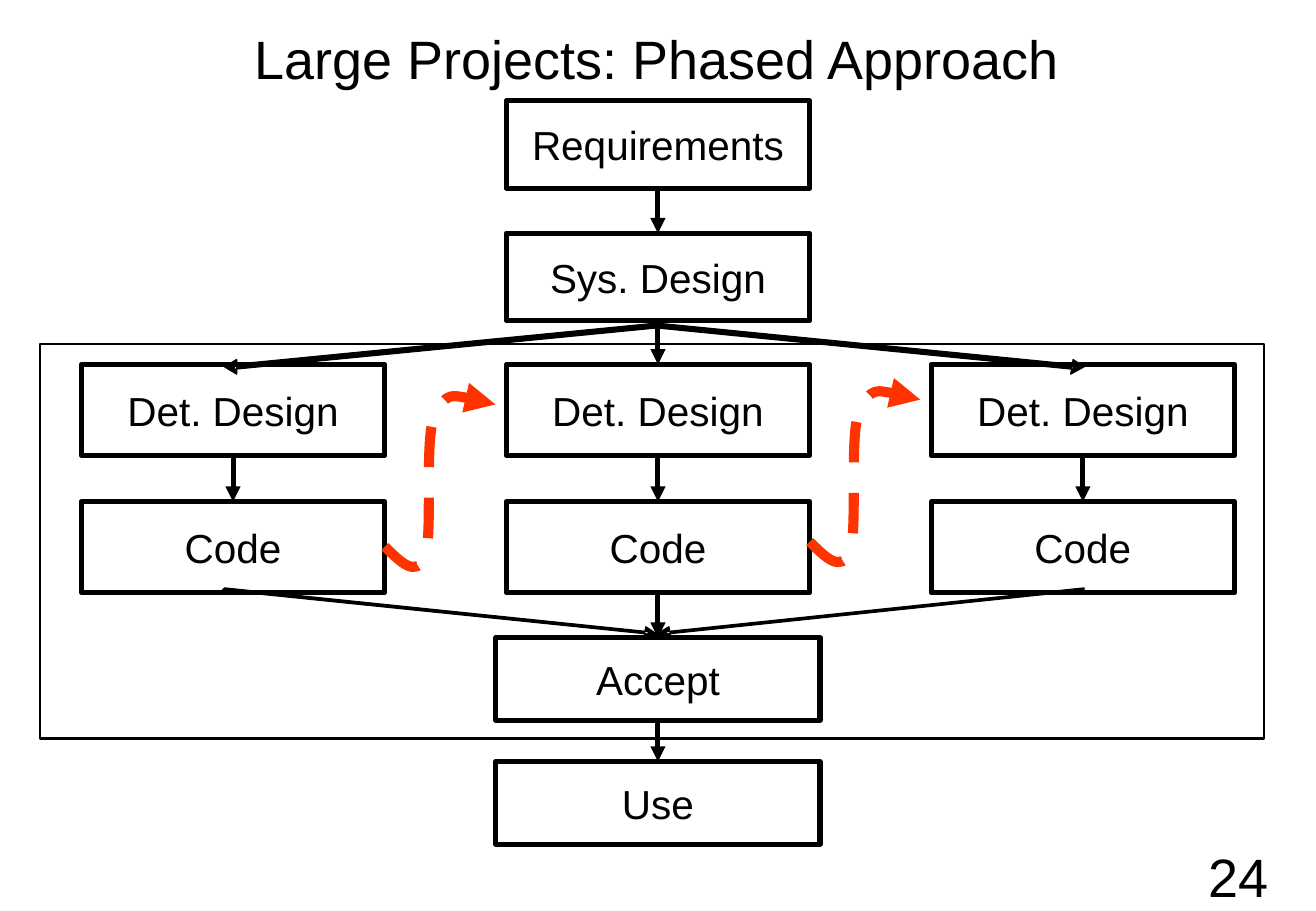
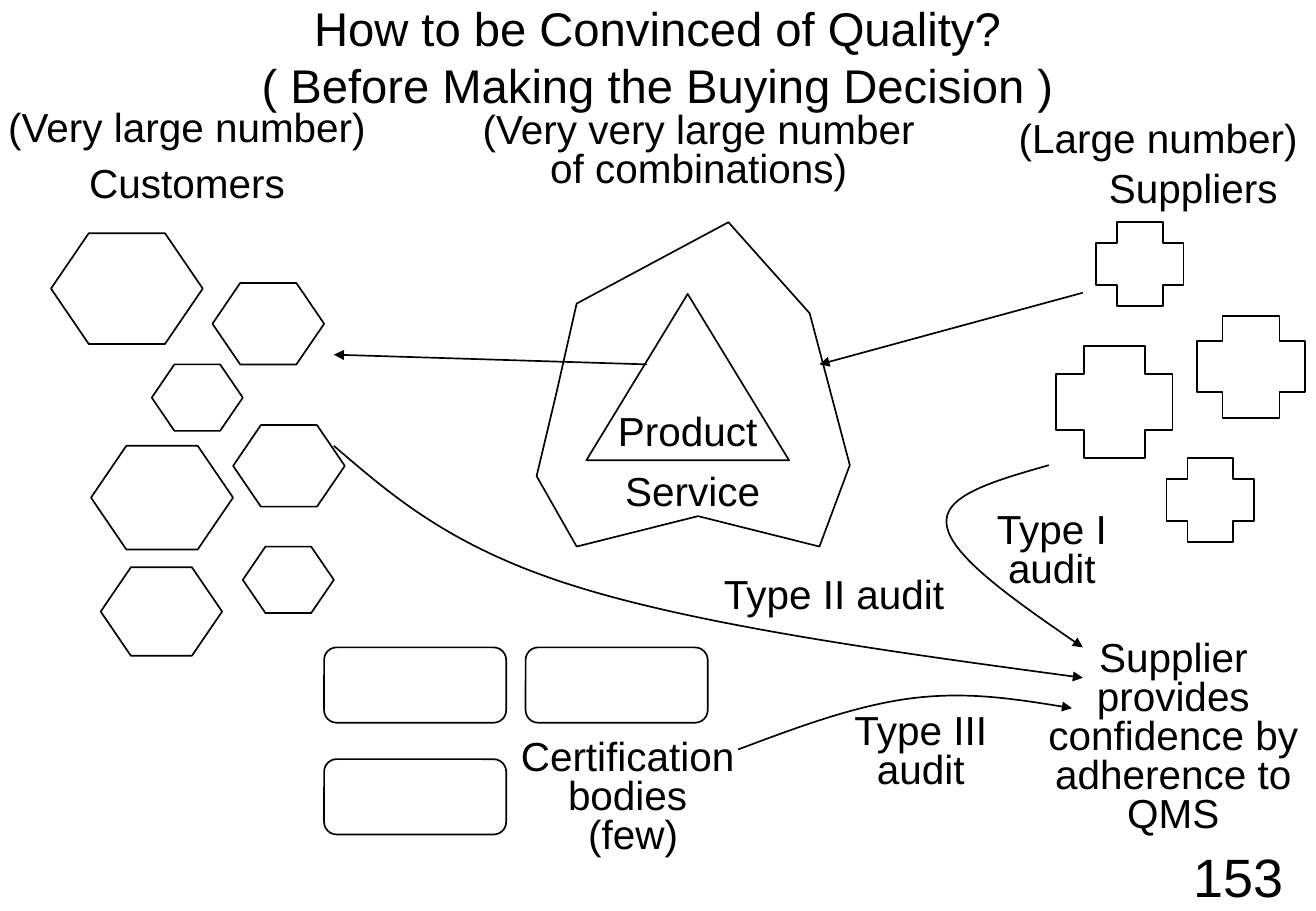
"""Build two slides: a phased project flow and a map of quality audits."""
from lxml import etree
from pptx import Presentation
from pptx.dml.color import RGBColor
from pptx.enum.dml import MSO_LINE
from pptx.enum.shapes import MSO_CONNECTOR, MSO_SHAPE
from pptx.enum.text import MSO_ANCHOR, MSO_AUTO_SIZE, PP_ALIGN
from pptx.oxml.ns import qn
from pptx.util import Inches, Pt

COLORS = {"ink": "000000", "loop": "FF3300"}
FONT = "Arial"
CENTER, MIDDLE, NO_FIT = PP_ALIGN.CENTER, MSO_ANCHOR.MIDDLE, MSO_AUTO_SIZE.NONE
RECT, ROUND = MSO_SHAPE.RECTANGLE, MSO_SHAPE.ROUNDED_RECTANGLE
HEXAGON, PLUS, TRIANGLE = MSO_SHAPE.HEXAGON, MSO_SHAPE.CROSS, MSO_SHAPE.ISOSCELES_TRIANGLE
STRAIGHT, DASH = MSO_CONNECTOR.STRAIGHT, MSO_LINE.DASH


def write(tf, text, size=24, spacing=1.0, wrap=False, margin=0.1):
    """Fill a text frame with centred text, one paragraph per line."""
    tf.auto_size, tf.word_wrap, tf.vertical_anchor = NO_FIT, wrap, MIDDLE
    tf.margin_left = tf.margin_right = Inches(margin)
    tf.margin_top = tf.margin_bottom = Inches(0.05)
    for i, line in enumerate(text.split("\n")):
        p = tf.add_paragraph() if i else tf.paragraphs[0]
        p.text, p.alignment, p.line_spacing = line, CENTER, spacing
        for r in p.runs:
            r.font.name, r.font.size = FONT, Pt(size)
            r.font.color.rgb = RGBColor.from_string(COLORS["ink"])


def outline(sp, width=1, color="ink", arrow=False, dash=None):
    """Draw the line of a shape or connector and drop its shadow."""
    sp.line.color.rgb = RGBColor.from_string(COLORS[color])
    sp.line.width = Pt(width)
    if dash:
        sp.line.dash_style = dash
    if arrow:
        etree.SubElement(sp.line._get_or_add_ln(), qn("a:tailEnd"), type="triangle")
    if hasattr(sp, "fill"):
        sp.fill.background()
        sp.shadow.inherit = False
    else:
        etree.SubElement(sp._element.spPr, qn("a:effectLst"))


prs = Presentation()
prs.slide_width, prs.slide_height = Inches(10.84), Inches(7.5)
slides = []
for title, size, height, number in [
    ("Large Projects: Phased Approach", 32, 0.96, "24"),
    ("How to be Convinced of Quality?\v( Before Making the Buying Decision )", 28, 0.92, "153"),
]:
    s = prs.slides.add_slide(prs.slide_layouts[5])
    sp = s.shapes.title
    sp.left, sp.top, sp.width, sp.height = 0, 0, Inches(10.83), Inches(height)
    write(sp.text_frame, title, size=size, wrap=True)
    sp = s.shapes.add_textbox(Inches(9.58), Inches(6.92), Inches(1.25), Inches(0.58))
    write(sp.text_frame, number, size=32)
    slides.append(s)
phases, audits = slides

MID = 5.42
boxes = [
    ("Requirements", MID, 0.83, 2.5, 0.72),
    ("Sys. Design", MID, 1.92, 2.5, 0.72),
    ("Accept", MID, 5.25, 2.67, 0.68),
    ("Use", MID, 6.27, 2.67, 0.68),
]
arrows = [(phases, MID, top, MID, bottom, 3)
          for top, bottom in [(1.56, 1.92), (2.64, 3), (4.88, 5.25), (5.93, 6.27)]]
for x in (MID - 3.5, MID, MID + 3.5):
    boxes += [("Det. Design", x, 3, 2.5, 0.75), ("Code", x, 4.13, 2.5, 0.75)]
    arrows.append((phases, x, 3.75, x, 4.13, 3))
arrows += [(audits, 8.92, 2.41, 6.75, 3, 1), (audits, 5.33, 3, 2.75, 2.92, 1)]

for text, x, y, w, h in boxes:
    sp = phases.shapes.add_shape(RECT, Inches(x - w / 2), Inches(y), Inches(w), Inches(h))
    outline(sp, width=3)
    write(sp.text_frame, text)

figures = [(phases, RECT, 0.33, 2.83, 10.08, 3.25, 1.39),
           (audits, TRIANGLE, 4.83, 2.42, 1.67, 1.37, 1)]
figures += [(audits, HEXAGON, x, y, w, w * 0.73, 1) for x, y, w in [
    (0.42, 1.92, 1.25), (1.75, 2.33, 0.92), (1.25, 3, 0.75), (0.75, 3.67, 1.17),
    (1.92, 3.5, 0.92), (0.83, 4.67, 1), (2, 4.5, 0.75)]]
figures += [(audits, PLUS, x, y, w, h, 1) for x, y, w, h in [
    (9.03, 1.83, 0.72, 0.69), (9.86, 2.6, 0.89, 0.84),
    (9.61, 3.77, 0.72, 0.69), (8.7, 2.85, 0.96, 0.92)]]
figures += [(audits, ROUND, x, y, 1.5, 0.62, 1)
            for x, y in [(2.67, 5.33), (4.33, 5.33), (2.67, 6.25)]]
for s, kind, x, y, w, h, width in figures:
    sp = s.shapes.add_shape(kind, Inches(x), Inches(y), Inches(w), Inches(h))
    if kind == HEXAGON:
        sp.adjustments[0] = 0.341
    outline(sp, width=width)

for s, x1, y1, x2, y2, width in arrows:
    sp = s.shapes.add_connector(STRAIGHT, Inches(x1), Inches(y1), Inches(x2), Inches(y2))
    outline(sp, width=width, arrow=True)

fan_arrows = [
    ([(5.41, 2.7), (1.93, 3.04), (1.93, 3), (5.41, 2.66)],
     [(1.95, 3.08), (1.85, 3.02), (1.95, 2.96)]),
    ([(5.41, 2.66), (8.84, 3), (8.84, 3.04), (5.41, 2.7)],
     [(8.84, 2.96), (8.93, 3.02), (8.82, 3.08)]),
    ([(5.34, 5.22), (1.83, 4.86), (1.85, 4.84), (5.34, 5.2)],
     [(5.32, 5.16), (5.41, 5.22), (5.3, 5.26)]),
    ([(5.49, 5.2), (8.93, 4.84), (8.93, 4.86), (5.49, 5.22)],
     [(5.53, 5.26), (5.41, 5.22), (5.51, 5.16)]),
]
service = [(4.75, 4.5), (5.75, 4.25), (6.75, 4.5), (7, 3.83), (6.67, 2.58),
           (6, 1.83), (4.75, 2.5), (4.58, 3.25), (4.42, 3.92)]
polygons = [(phases, parts, 0) for parts in fan_arrows] + [(audits, [service], 1)]
for s, parts, width in polygons:
    parts = [[(Inches(x), Inches(y)) for x, y in part] for part in parts]
    fb = s.shapes.build_freeform(*parts[0][0])
    fb.add_line_segments(parts[0][1:], close=True)
    for part in parts[1:]:
        fb.move_to(*part[0])
        fb.add_line_segments(part[1:], close=True)
    sp = fb.convert_to_shape()
    outline(sp, width=width)
    if s is phases:
        sp.fill.solid()
        sp.fill.fore_color.rgb = RGBColor.from_string(COLORS["ink"])

loop = [(3.17, 4.5), (3.3, 4.63), (3.43, 4.76), (3.5, 4.58), (3.57, 4.4),
        (3.49, 3.62), (3.58, 3.42), (3.68, 3.21), (3.88, 3.27), (4.08, 3.33)]
loop_style = {"width": 6, "color": "loop", "dash": DASH}
curves = [
    (phases, loop, loop_style),
    (phases, [(x + 3.5, y - 0.04) for x, y in loop], loop_style),
    (audits, [(8.64, 3.83), (8.19, 3.96), (7.75, 4.08), (7.8, 4.33),
              (7.84, 4.58), (8.38, 4.96), (8.92, 5.33)], {}),
    (audits, [(2.75, 3.67), (3.24, 4.09), (3.72, 4.51), (4.75, 4.83),
              (5.78, 5.15), (7.35, 5.37), (8.92, 5.58)], {}),
    (audits, [(6.08, 6.17), (6.56, 5.99), (7.04, 5.81), (7.5, 5.75),
              (7.96, 5.69), (8.4, 5.76), (8.83, 5.83)], {}),
]
for s, points, style in curves:
    points = [(Inches(x), Inches(y)) for x, y in points]
    fb = s.shapes.build_freeform(*points[0])
    fb.add_line_segments(points[1:], close=False)
    sp = fb.convert_to_shape()
    segments = sp._element.findall(".//" + qn("a:lnTo"))
    outline_path = segments[0].getparent()
    for i in range(0, len(segments), 3):
        bezier = etree.SubElement(outline_path, qn("a:cubicBezTo"))
        for segment in segments[i:i + 3]:
            bezier.append(segment[0])
            outline_path.remove(segment)
    outline(sp, arrow=True, **style)

for text, x, y, w, h, spacing, wrap in [
    ("(Very large number)", 0, 0.83, 3.08, 0.5, 0.8, False),
    ("Customers", 0, 1.33, 3.08, 0.42, 0.8, False),
    ("(Very very large number of combinations)", 3.92, 0.92, 3.67, 0.67, 0.8, True),
    ("(Large number)", 8.33, 0.92, 2.42, 0.5, 0.8, False),
    ("Suppliers", 8.83, 1.33, 2, 0.5, 0.8, False),
    ("Product", 5.08, 3.33, 1.17, 0.42, 1.0, False),
    ("Service", 5.08, 3.83, 1.25, 0.42, 1.0, False),
    ("Type I audit", 8, 4.17, 1.33, 0.75, 0.8, True),
    ("Type II audit", 5.83, 4.67, 2.08, 0.5, 0.8, True),
    ("Type III audit", 6.92, 5.83, 1.33, 0.75, 0.8, True),
    ("Certification bodies\n (few)", 4.17, 6.08, 2, 1, 0.8, True),
    ("Supplier provides confidence by adherence to QMS", 8.5, 5.25, 2.33, 1.67, 0.8, True),
]:
    sp = audits.shapes.add_textbox(Inches(x), Inches(y), Inches(w), Inches(h))
    write(sp.text_frame, text, spacing=spacing, wrap=wrap, margin=0)

prs.save("out.pptx")
